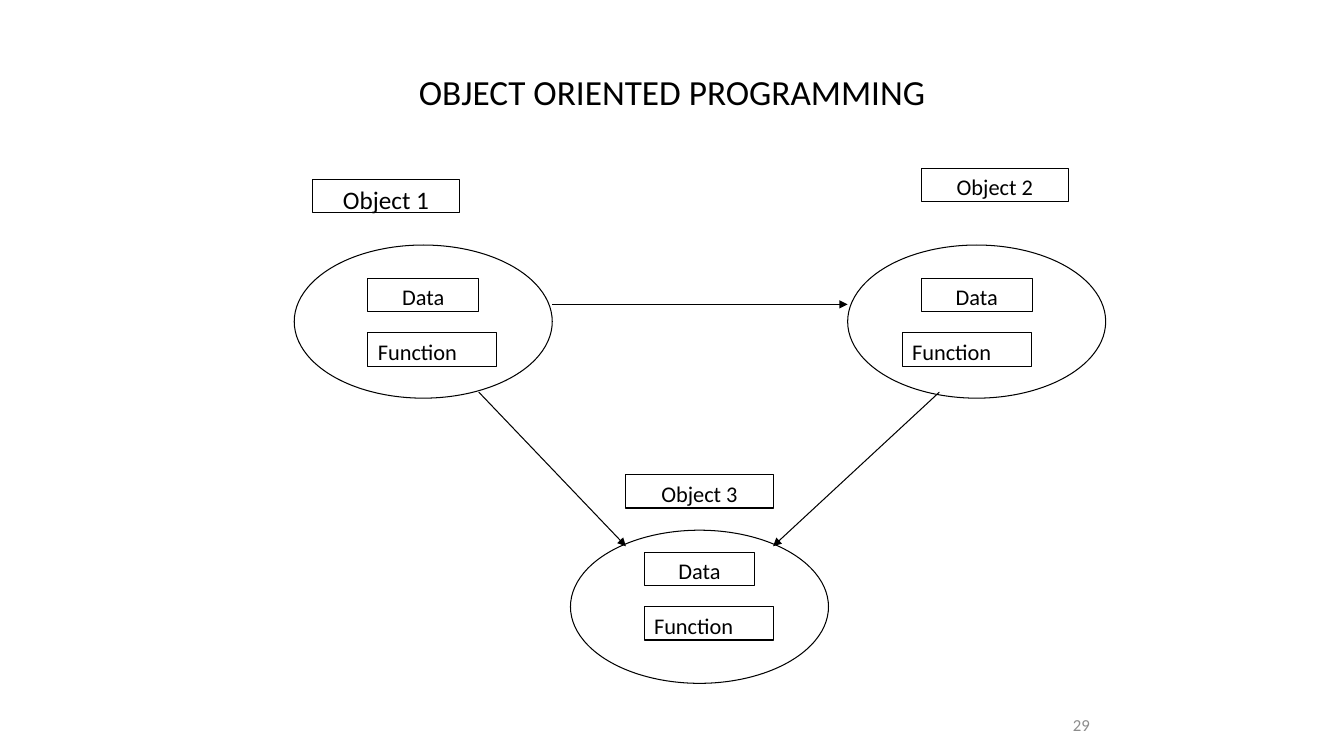
from dataclasses import dataclass

from lxml.etree import SubElement
from pptx import Presentation
from pptx.dml.color import RGBColor
from pptx.enum.shapes import MSO_CONNECTOR as Connector, MSO_SHAPE as Shape
from pptx.enum.text import MSO_ANCHOR as Anchor, MSO_AUTO_SIZE as AutoSize, PP_ALIGN as Align
from pptx.oxml.ns import qn
from pptx.util import Pt


@dataclass(frozen=True)
class Theme:
    font: str = "Calibri"
    ink: RGBColor = RGBColor(0, 0, 0)
    paper: RGBColor = RGBColor(255, 255, 255)
    muted: RGBColor = RGBColor(0x8C, 0x8C, 0x8C)
    title_size: float = 25.2
    large_size: float = 18
    label_size: float = 16
    number_size: float = 12
    line_width: float = 0.75


class Diagram:
    oval_width, oval_height = 184.3, 109.4
    box_height = 23.8
    label_width, data_width, function_width = 105.1, 79.2, 92.2
    data_indent, function_drop = 52.6, 38.9

    def __init__(self, slide, theme):
        self.slide = slide
        self.theme = theme

    def set_text(self, shape, text, size, color, align, anchor):
        frame = shape.text_frame
        frame.word_wrap = True
        frame.auto_size = AutoSize.NONE
        frame.vertical_anchor = anchor
        frame.text = text
        paragraph = frame.paragraphs[0]
        paragraph.alignment = align
        paragraph.font.name = self.theme.font
        paragraph.font.size = Pt(size)
        paragraph.font.color.rgb = color
        return paragraph

    def title(self, text, left, top, width, height):
        shape = self.slide.shapes.title
        shape.left, shape.top, shape.width, shape.height = map(Pt, (left, top, width, height))
        paragraph = self.set_text(shape, text, self.theme.title_size, self.theme.ink,
                                  Align.CENTER, Anchor.BOTTOM)
        paragraph.line_spacing = 0.9

    def page_number(self, text, left, top, width, height):
        shape = self.slide.shapes.add_textbox(*map(Pt, (left, top, width, height)))
        self.set_text(shape, text, self.theme.number_size, self.theme.muted,
                      Align.RIGHT, Anchor.MIDDLE)

    def outline(self, kind, left, top, width, height):
        shape = self.slide.shapes.add_shape(kind, *map(Pt, (left, top, width, height)))
        shape.shadow.inherit = False
        shape.fill.solid()
        shape.fill.fore_color.rgb = self.theme.paper
        shape.line.color.rgb = self.theme.ink
        shape.line.width = Pt(self.theme.line_width)
        return shape

    def box(self, text, left, top, width, size=None, align=Align.CENTER):
        shape = self.outline(Shape.RECTANGLE, left, top, width, self.box_height)
        self.set_text(shape, text, size or self.theme.label_size, self.theme.ink,
                      align, Anchor.TOP)

    def object(self, name, left, top, label_offset, data_drop=23.8,
               function_indent=data_indent, label_size=None):
        label_x, label_y = label_offset
        self.box(name, left + label_x, top + label_y, self.label_width, label_size)
        self.outline(Shape.OVAL, left, top, self.oval_width, self.oval_height)
        self.box("Data", left + self.data_indent, top + data_drop, self.data_width)
        self.box("Function", left + function_indent, top + data_drop + self.function_drop,
                 self.function_width, align=Align.LEFT)

    def arrow(self, start, end):
        connector = self.slide.shapes.add_connector(Connector.STRAIGHT, *map(Pt, start + end))
        connector.line.color.rgb = self.theme.ink
        connector.line.width = Pt(self.theme.line_width)
        properties = connector._element.spPr
        SubElement(properties.find(qn("a:ln")), qn("a:tailEnd"), type="triangle")
        SubElement(properties, qn("a:effectLst"))


def main():
    presentation = Presentation()
    presentation.slide_width, presentation.slide_height = Pt(960), Pt(540)
    slide = presentation.slides.add_slide(presentation.slide_layouts[0])
    subtitle = slide.placeholders[1]._element
    subtitle.getparent().remove(subtitle)

    theme = Theme()
    diagram = Diagram(slide, theme)
    diagram.page_number("29", 635.8, 499.7, 149.8, 36)
    diagram.title("OBJECT ORIENTED PROGRAMMING", 174.2, 48.2, 612, 36)
    diagram.object("Object 1", 210.2, 175, (13, -46.8), label_size=theme.large_size)
    diagram.object("Object 2", 605.5, 175, (52.6, -54.7), function_indent=38.9)
    diagram.object("Object 3", 407.5, 378.7, (39.6, -39.6), data_drop=15.8)
    diagram.arrow((394.5, 217.4), (605.5, 217.4))
    diagram.arrow((671, 280.1), (552.2, 390.2))
    diagram.arrow((342, 280.1), (447.1, 390.2))
    presentation.save("out.pptx")


if __name__ == "__main__":
    main()
